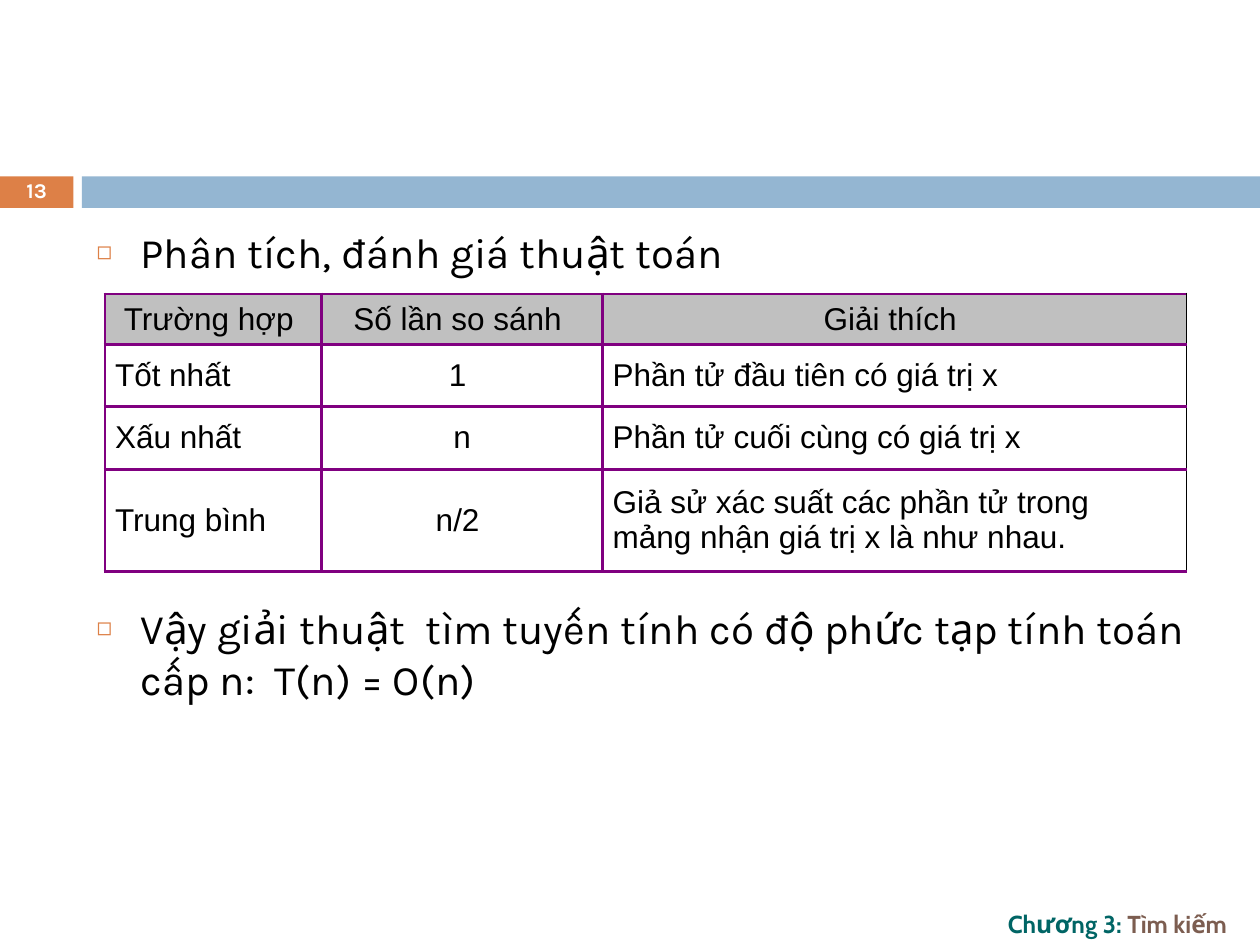
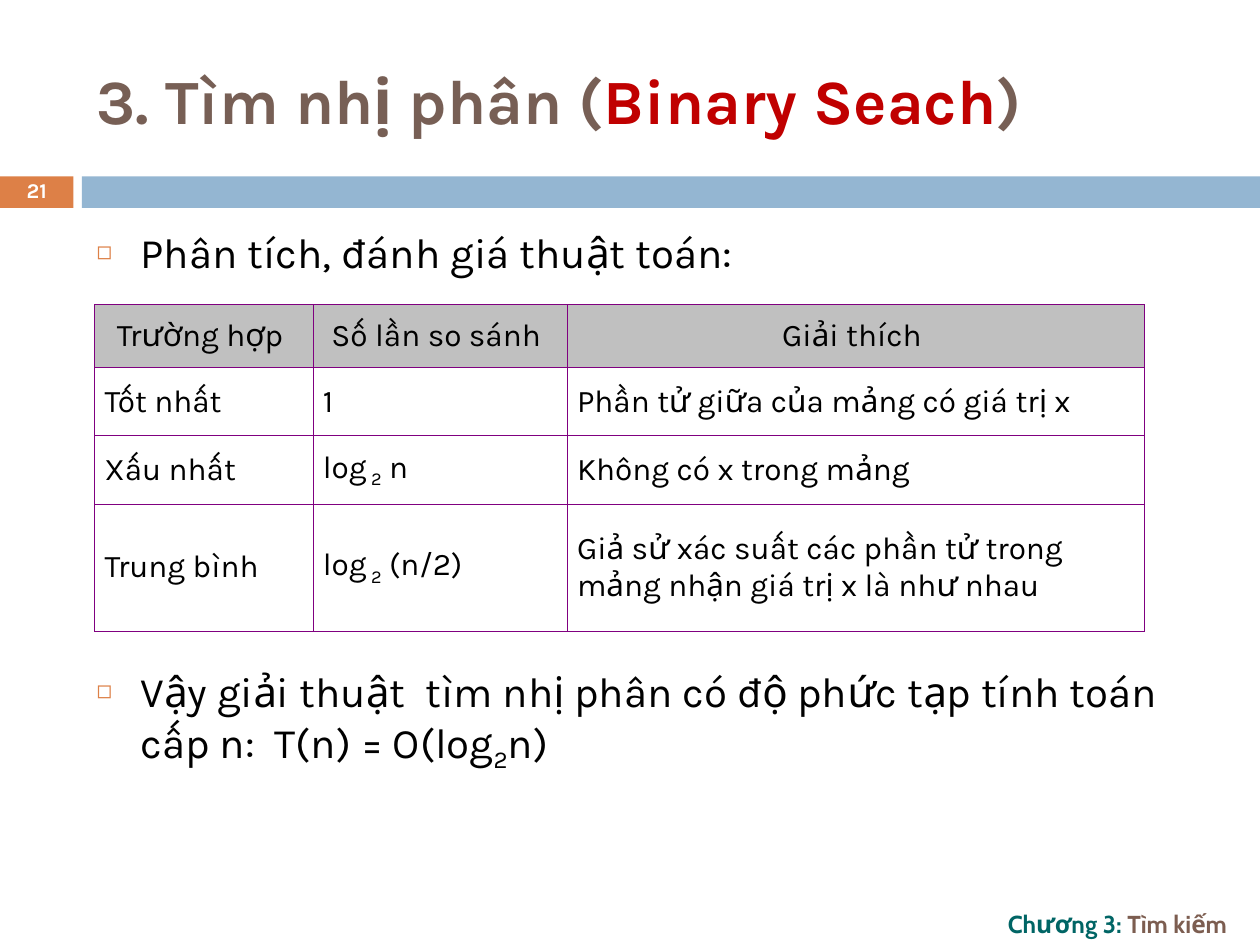
from dataclasses import dataclass

from lxml.etree import SubElement
from pptx import Presentation
from pptx.dml.color import RGBColor
from pptx.enum.shapes import MSO_SHAPE as Preset
from pptx.enum.text import MSO_ANCHOR as Anchor, MSO_AUTO_SIZE as AutoSize, PP_ALIGN as Align
from pptx.oxml.ns import qn
from pptx.util import Emu, Inches, Pt

COLUMNS, ROWS = 120, 90
SLIDE_WIDTH, SLIDE_HEIGHT = Inches(10), Inches(7.5)


@dataclass(frozen=True)
class Theme:
    black: str = "000000"
    white: str = "FFFFFF"
    orange: str = "DD8047"
    blue: str = "94B6D2"
    brown: str = "775F55"
    red: str = "C00000"
    footer_teal: str = "006565"
    footer_brown: str = "7C5D50"
    header_gray: str = "C0C0C0"
    grid_purple: str = "800080"
    font: str = "Karla"
    table_font: str = "Arial"
    footer_font: str = "Cabin"
    title_size: int = 36
    body_size: int = 24
    table_size: int = 18
    footer_size: int = 14
    number_size: int = 12


@dataclass(frozen=True)
class Box:
    """A region measured in grid columns and rows."""
    left: float
    top: float
    width: float
    height: float

    def emu(self):
        return (across(self.left), down(self.top), across(self.width), down(self.height))


THEME = Theme()
TITLE_BOX = Box(8, 3, 107, 13)
BODY_BOX = Box(8, 21, 107, 59)
BAND_BOX = Box(0, 16.8, COLUMNS, 3)
FOOTER_BOX = Box(94.8, 86, 25.2, 4)
NUMBER_WIDTH, BAND_GAP = 7, 0.8
SUBSCRIPT = {"baseline": -25}


def across(columns):
    return Emu(round(SLIDE_WIDTH * columns / COLUMNS))


def down(rows):
    return Emu(round(SLIDE_HEIGHT * rows / ROWS))


def write(paragraph, content, *, size, color=THEME.black, font=THEME.font, bold=False,
          align=Align.LEFT, space_before=0, line_spacing=None):
    """Fill a paragraph with a string or a list of strings and (string, format) pairs."""
    paragraph.alignment = align
    paragraph.space_before = Pt(space_before)
    if line_spacing:
        paragraph.line_spacing = line_spacing
    for part in [content] if isinstance(content, str) else content:
        text, changes = (part, {}) if isinstance(part, str) else part
        run = paragraph.add_run()
        run.text = text
        run.font.size = Pt(size)
        run.font.name = font
        run.font.bold = bold
        run.font.color.rgb = RGBColor.from_string(changes.get("color", color))
        if "baseline" in changes:
            run._r.get_or_add_rPr().set("baseline", str(changes["baseline"] * 1000))


def add_label(slide, box, content, **text_format):
    frame = slide.shapes.add_textbox(*box.emu()).text_frame
    frame.word_wrap = True
    frame.vertical_anchor = Anchor.MIDDLE
    write(frame.paragraphs[0], content, **text_format)


def add_bar(slide, box, color):
    bar = slide.shapes.add_shape(Preset.RECTANGLE, *box.emu())
    bar.shadow.inherit = False
    bar.fill.solid()
    bar.fill.fore_color.rgb = RGBColor.from_string(color)
    bar.line.fill.background()


def add_band(slide, box, number):
    number_box = Box(box.left, box.top, NUMBER_WIDTH, box.height)
    bar_offset = NUMBER_WIDTH + BAND_GAP
    add_bar(slide, number_box, THEME.orange)
    add_bar(slide, Box(box.left + bar_offset, box.top, box.width - bar_offset, box.height),
            THEME.blue)
    add_label(slide, number_box, number, size=THEME.number_size, color=THEME.white,
              bold=True, align=Align.CENTER, line_spacing=0.8)


def add_footer(slide, box):
    add_label(slide, box, ["Chương 3: ", ("Tìm kiếm", {"color": THEME.footer_brown})],
              size=THEME.footer_size, color=THEME.footer_teal, font=THEME.footer_font, bold=True)


def place(placeholder, box, anchor):
    placeholder.left, placeholder.top, placeholder.width, placeholder.height = box.emu()
    frame = placeholder.text_frame
    frame.auto_size = AutoSize.NONE
    frame.word_wrap = True
    frame.vertical_anchor = anchor
    return frame


def fill_title(slide, box, content):
    title = slide.shapes.title
    if content is None:
        title.element.getparent().remove(title.element)
        return
    frame = place(title, box, Anchor.MIDDLE)
    write(frame.paragraphs[0], content, size=THEME.title_size, color=THEME.brown, bold=True)


def set_bullet(paragraph, indent):
    properties = paragraph._p.get_or_add_pPr()
    properties.set("marL", str(indent))
    properties.set("indent", str(-indent))
    bullet_color = SubElement(properties, qn("a:buClr"))
    SubElement(bullet_color, qn("a:srgbClr"), val=THEME.orange)
    SubElement(properties, qn("a:buSzPct"), val="60000")
    SubElement(properties, qn("a:buChar"), char="◻")


def fill_body(slide, box, heading, conclusion, gap):
    """Write both bullets, leaving a gap in points for the table between them."""
    frame = place(slide.placeholders[1], box, Anchor.TOP)
    for index, (content, space) in enumerate([(heading, 0), (conclusion, gap)]):
        paragraph = frame.add_paragraph() if index else frame.paragraphs[0]
        set_bullet(paragraph, Inches(0.35))
        write(paragraph, content, size=THEME.body_size, space_before=space)


def set_borders(cell, borders):
    properties = cell._tc.get_or_add_tcPr()
    for side in "LRTB":
        color, width = borders[side]
        line = SubElement(properties, qn(f"a:ln{side}"), w=str(Pt(width)))
        SubElement(SubElement(line, qn("a:solidFill")), qn("a:srgbClr"), val=color)


def add_case_table(slide, box, rows, *, widths, heights, font, border, right_edge, centered=()):
    """Draw the table of cases; widths and heights are in grid units."""
    table = slide.shapes.add_table(len(rows), len(widths), *box.emu()).table
    table.first_row = table.horz_banding = False
    for column, width in zip(table.columns, widths):
        column.width = across(width)
    for row, height in zip(table.rows, heights):
        row.height = down(height)
    for row_index, row in enumerate(rows):
        for column_index, content in enumerate(row):
            cell = table.cell(row_index, column_index)
            is_header = row_index == 0
            is_last = column_index == len(row) - 1
            cell.vertical_anchor = Anchor.MIDDLE
            cell.margin_left = cell.margin_right = Inches(0.08)
            set_borders(cell, dict.fromkeys("LTB", border) | {"R": right_edge if is_last else border})
            if is_header:
                cell.fill.solid()
                cell.fill.fore_color.rgb = RGBColor.from_string(THEME.header_gray)
            else:
                cell.fill.background()
            align = Align.CENTER if is_header or column_index in centered else Align.LEFT
            write(cell.text_frame.paragraphs[0], content, size=THEME.table_size,
                  font=font, align=align)


def add_analysis_slide(presentation, *, number, heading, conclusion, gap, table_box, rows,
                       title=None, **table_format):
    slide = presentation.slides.add_slide(presentation.slide_layouts.get_by_name("Title and Content"))
    add_band(slide, BAND_BOX, number)
    add_footer(slide, FOOTER_BOX)
    fill_title(slide, TITLE_BOX, title)
    fill_body(slide, BODY_BOX, heading, conclusion, gap)
    add_case_table(slide, table_box, rows, **table_format)


def main():
    presentation = Presentation()
    presentation.slide_width, presentation.slide_height = SLIDE_WIDTH, SLIDE_HEIGHT
    header = ["Trường hợp ", "Số lần so sánh ", "Giải thích "]
    thin = 0.34

    add_analysis_slide(
        presentation, number="13",
        heading="Phân tích, đánh giá thuật toán",
        conclusion="Vậy giải thuật  tìm tuyến tính có độ phức tạp tính toán cấp n:  T(n) = O(n)",
        gap=186, table_box=Box(10, 28, 103, 25.7),
        rows=[
            header,
            ["Tốt nhất", "1 ", "Phần tử đầu tiên có giá trị x"],
            ["Xấu nhất", "n", "Phần tử cuối cùng có giá trị x"],
            ["Trung bình", "n/2 ",
             "Giả sử xác suất các phần tử trong mảng nhận giá trị x là như nhau."],
        ],
        widths=[20.6, 26.8, 55.6], heights=[4.1, 5.9, 6, 9.7], font=THEME.table_font,
        border=(THEME.grid_purple, 1.87), right_edge=(THEME.black, thin), centered=[1])

    add_analysis_slide(
        presentation, number="21",
        title=["3. Tìm nhị phân (", ("Binary Seach", {"color": THEME.red}), ")"],
        heading="Phân tích, đánh giá thuật toán:",
        conclusion=["Vậy giải thuật  tìm nhị phân có độ phức tạp tính toán cấp n:  T(n) = O(log",
                    ("2", SUBSCRIPT), "n)"],
        gap=222, table_box=Box(9, 29, 100, 31),
        rows=[
            header,
            ["Tốt nhất", "1", "Phần tử giữa của mảng có giá trị x"],
            ["Xấu nhất", ["log", (" 2", SUBSCRIPT), " n"], "Không có x trong mảng"],
            ["Trung bình", ["log", (" 2", SUBSCRIPT), " (n/2)"],
             "Giả sử xác suất các phần tử trong mảng nhận giá trị x là như nhau"],
        ],
        widths=[20.8, 24.2, 55], heights=[6, 6.5, 6.5, 12.1], font=THEME.font,
        border=(THEME.grid_purple, thin), right_edge=(THEME.grid_purple, thin))

    presentation.save("out.pptx")


if __name__ == "__main__":
    main()
